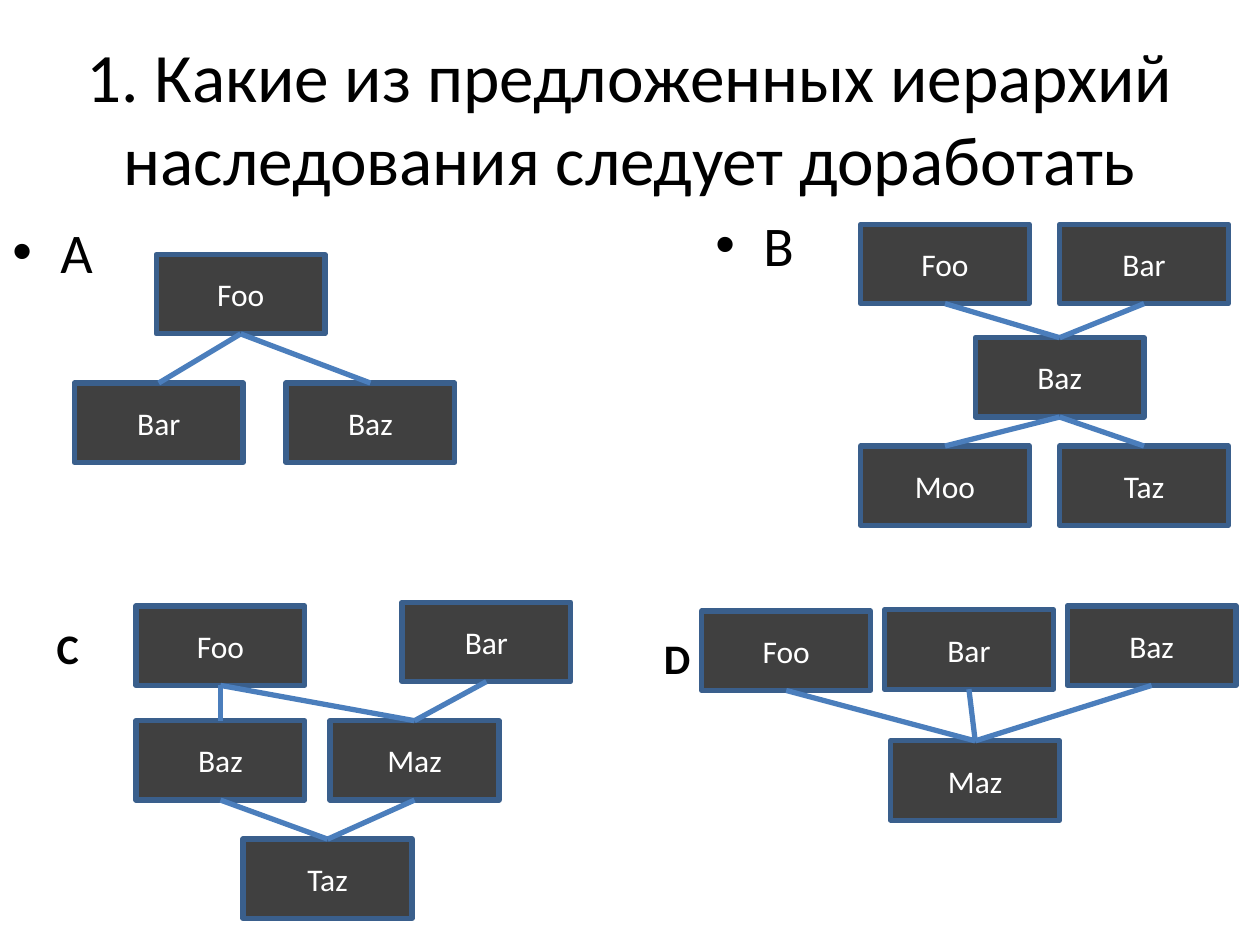
from lxml import etree
from pptx import Presentation, util as u
from pptx.dml.color import RGBColor
from pptx.enum import shapes, text
from pptx.oxml.ns import qn

BLACK = RGBColor(0x00, 0x00, 0x00)
WHITE = RGBColor(0xFF, 0xFF, 0xFF)
BOX_FILL = RGBColor(0x40, 0x40, 0x40)
BOX_EDGE = RGBColor(0x3A, 0x5F, 0x8C)
LINK = RGBColor(0x4B, 0x7E, 0xBC)

FONT = "Calibri"
SLIDE_W, SLIDE_H = 10, 7.5
BOX_W, BOX_H = 1.34, 0.63
LABEL_W, LABEL_H = 4.42, 0.7
LINE_PT = 3
TOP, BOTTOM = 0, 2  # connection sites of a rectangle

# Each hierarchy: label (text, left, top, bulleted),
# classes (key: left, top) and links (parent, child).
HIERARCHIES = [
    (("A", 0, 1.68, True),
     {"Foo": (1.24, 2.02), "Bar": (0.59, 3.04), "Baz": (2.27, 3.04)},
     [("Foo", "Bar"), ("Foo", "Baz")]),
    (("B", 5.58, 1.62, True),
     {"Foo": (6.83, 1.78), "Bar": (8.41, 1.78), "Baz": (7.74, 2.68),
      "Moo": (6.83, 3.54), "Taz": (8.41, 3.54)},
     [("Foo", "Baz"), ("Bar", "Baz"), ("Baz", "Moo"), ("Baz", "Taz")]),
    (("С", 0.35, 4.69, False),
     {"Foo": (1.08, 4.81), "Bar": (3.19, 4.78), "Baz": (1.08, 5.72),
      "Maz": (2.62, 5.72), "Taz": (1.93, 6.66)},
     [("Bar", "Maz"), ("Foo", "Baz"), ("Foo", "Maz"),
      ("Baz", "Taz"), ("Maz", "Taz")]),
    (("D", 5.17, 4.77, False),
     {"Foo": (5.57, 4.85), "Bar": (7.02, 4.84), "Baz": (8.47, 4.81),
      "Maz": (7.07, 5.88)},
     [("Foo", "Maz"), ("Bar", "Maz"), ("Baz", "Maz")]),
]


def write(frame, wording, size, color, align, anchor, bold=False):
    """Fill a text frame with one formatted run and return its paragraph."""
    frame.word_wrap = True
    frame.vertical_anchor = anchor
    paragraph = frame.paragraphs[0]
    paragraph.alignment = align
    run = paragraph.add_run()
    run.text = wording
    run.font.name = FONT
    run.font.size = u.Pt(size)
    run.font.bold = bold
    run.font.color.rgb = color
    return paragraph


def add_bullet(paragraph, indent=0.38):
    """Give a paragraph a round bullet and a hanging indent."""
    props = paragraph._p.get_or_add_pPr()
    props.set("marL", str(u.Inches(indent)))
    props.set("indent", str(-u.Inches(indent)))
    etree.SubElement(props, qn("a:buFont")).set("typeface", "Arial")
    etree.SubElement(props, qn("a:buChar")).set("char", "•")


def add_title(slide, wording):
    """Add the centred question at the head of the slide."""
    margin = SLIDE_W * 0.05
    title = slide.shapes.add_textbox(
        u.Inches(margin), u.Inches(SLIDE_H * 0.04),
        u.Inches(SLIDE_W - 2 * margin), u.Inches(SLIDE_H / 6))
    write(title.text_frame, wording, 39.6, BLACK,
          text.PP_ALIGN.CENTER, text.MSO_ANCHOR.MIDDLE)


def add_label(slide, letter, left, top, bulleted):
    """Add the letter of a hierarchy, bulleted or in bold."""
    label = slide.shapes.add_textbox(
        u.Inches(left), u.Inches(top), u.Inches(LABEL_W), u.Inches(LABEL_H))
    anchor = text.MSO_ANCHOR.TOP if bulleted else text.MSO_ANCHOR.BOTTOM
    paragraph = write(label.text_frame, letter, 32 if bulleted else 24, BLACK,
                      text.PP_ALIGN.LEFT, anchor, bold=not bulleted)
    if bulleted:
        add_bullet(paragraph)


def add_class(slide, name, left, top):
    """Add the box of one class."""
    box = slide.shapes.add_shape(
        shapes.MSO_SHAPE.RECTANGLE, u.Inches(left), u.Inches(top),
        u.Inches(BOX_W), u.Inches(BOX_H))
    box.shadow.inherit = False
    box.fill.solid()
    box.fill.fore_color.rgb = BOX_FILL
    box.line.color.rgb = BOX_EDGE
    box.line.width = u.Pt(LINE_PT)
    write(box.text_frame, name, 18, WHITE,
          text.PP_ALIGN.CENTER, text.MSO_ANCHOR.MIDDLE)
    return box


def add_link(slide, parent, child):
    """Join the bottom of a parent class to the top of its child."""
    link = slide.shapes.add_connector(
        shapes.MSO_CONNECTOR.STRAIGHT, 0, 0, 0, 0)
    link.begin_connect(parent, BOTTOM)
    link.end_connect(child, TOP)
    link.line.color.rgb = LINK
    link.line.width = u.Pt(LINE_PT)
    etree.SubElement(link._element.spPr, qn("a:effectLst"))


def add_hierarchy(slide, label, classes, links):
    """Add one lettered inheritance diagram."""
    add_label(slide, *label)
    boxes = {name: add_class(slide, name, *place)
             for name, place in classes.items()}
    for parent, child in links:
        add_link(slide, boxes[parent], boxes[child])


def main():
    """Build the slide and save it."""
    deck = Presentation()
    deck.slide_width = u.Inches(SLIDE_W)
    deck.slide_height = u.Inches(SLIDE_H)
    slide = deck.slides.add_slide(deck.slide_layouts[6])
    add_title(slide, "1. Какие из предложенных иерархий "
                     "наследования следует доработать")
    for hierarchy in HIERARCHIES:
        add_hierarchy(slide, *hierarchy)
    deck.save("out.pptx")


main()
